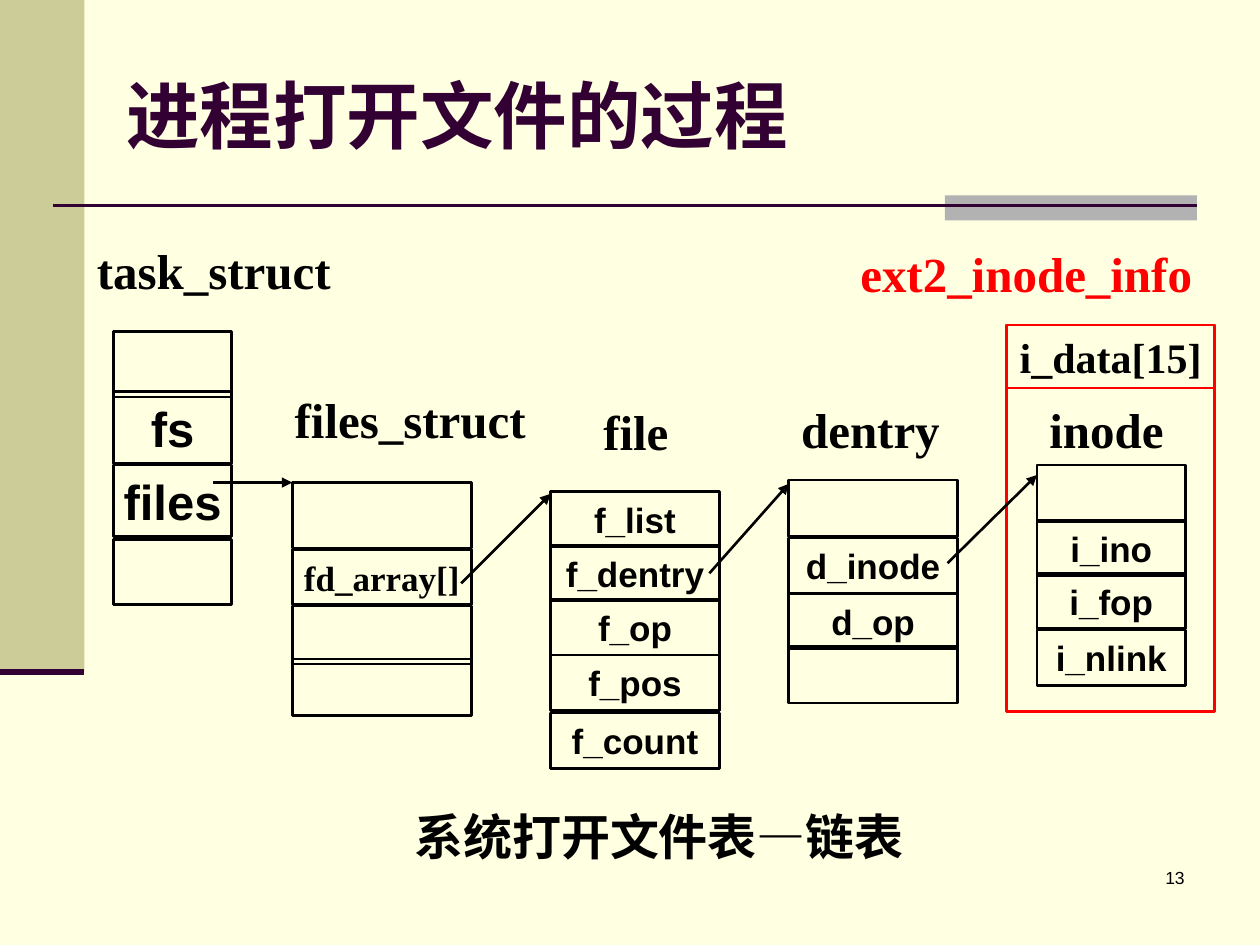
"""Build the slide that shows how a process opens a file."""
from lxml.etree import SubElement
from pptx import Presentation
from pptx.dml.color import RGBColor
from pptx.enum.shapes import MSO_CONNECTOR, MSO_SHAPE
from pptx.enum.text import MSO_ANCHOR, PP_ALIGN
from pptx.oxml.ns import qn
from pptx.util import Inches, Pt

CREAM = RGBColor(0xFF, 0xFF, 0xE1)
KHAKI = RGBColor(0xCC, 0xCC, 0x99)
GRAY = RGBColor(0xB2, 0xB2, 0xB2)
PLUM = RGBColor(0x33, 0x00, 0x33)
BLACK = RGBColor(0x00, 0x00, 0x00)
RED = RGBColor(0xFF, 0x00, 0x00)
SERIF, SANS = "Times New Roman", "Arial"

TITLE = "进程打开文件的过程"
BANDS = [((0, 0, 0.67, 5.33), KHAKI), ((7.5, 1.55, 2, 0.2), GRAY)]
RULES = [((0.42, 1.63), (9.5, 1.63), 1.5), ((0, 5.33), (0.67, 5.33), 3.5)]
LABELS = [
    ("task_struct", 0.67, 1.86, 2.12, BLACK),
    ("files_struct", 2.24, 3.04, 2.12, BLACK),
    ("file", 4.69, 3.14, 0.94, BLACK),
    ("dentry", 6.26, 3.12, 1.34, BLACK),
    ("inode", 8.23, 3.12, 1.18, BLACK),
    ("ext2_inode_info", 6.73, 1.88, 2.91, RED),
    ("系统打开文件表—链表", 3.19, 6.35, 4.33, BLACK),
]
FRAME = (7.99, 2.58, 1.65, 3.07)
STACKS = [
    (0.9, 0.94, SANS, 28, BLACK,
     [("", 2.63, 0.52), ("fs", 3.11, 0.57), ("files", 3.69, 0.57), ("", 4.28, 0.52)]),
    (2.32, 1.42, SERIF, 20, BLACK,
     [("", 3.83, 0.52), ("fd_array[]", 4.36, 0.44), ("", 4.81, 0.46), ("", 5.23, 0.45)]),
    (4.37, 1.34, SANS, 20, BLACK,
     [("f_list", 3.9, 0.44), ("f_dentry", 4.33, 0.44), ("f_op", 4.76, 0.44),
      ("f_pos", 5.2, 0.44), ("f_count", 5.66, 0.44)]),
    (6.26, 1.34, SANS, 20, BLACK,
     [("", 3.81, 0.45), ("d_inode", 4.27, 0.44), ("d_op", 4.71, 0.44), ("", 5.13, 0.45)]),
    (8.23, 1.18, SANS, 20, BLACK,
     [("", 3.69, 0.45), ("i_ino", 4.13, 0.44), ("i_fop", 4.55, 0.44), ("i_nlink", 5, 0.44)]),
    (7.99, 1.65, SERIF, 24, RED, [("i_data[15]", 2.58, 0.5)]),
]
ARROWS = [
    ((1.69, 3.83), (2.32, 3.83)),
    ((3.66, 4.63), (4.37, 3.92)),
    ((5.63, 4.55), (6.26, 3.84)),
    ((7.52, 4.47), (8.23, 3.77)),
]


def inch(nums):
    return [Inches(n) for n in nums]


def write(frame, text, size, face, color, align=PP_ALIGN.LEFT, bold=True):
    frame.word_wrap = True
    para = frame.paragraphs[0]
    para.alignment = align
    run = para.add_run()
    run.text = text
    font = run.font
    font.size, font.name, font.bold = Pt(size), face, bold
    font.color.rgb = color


def add_box(slide, area, fill=None, edge=None):
    box = slide.shapes.add_shape(MSO_SHAPE.RECTANGLE, *inch(area))
    box.shadow.inherit = False
    if fill is None:
        box.fill.background()
    else:
        box.fill.solid()
        box.fill.fore_color.rgb = fill
    if edge is None:
        box.line.fill.background()
    else:
        box.line.color.rgb = edge
        box.line.width = Pt(1.5)
    return box


def add_line(slide, start, end, color, width=1.5, head=False):
    line = slide.shapes.add_connector(MSO_CONNECTOR.STRAIGHT, *inch(start + end))
    line.line.color.rgb = color
    line.line.width = Pt(width)
    props = line._element.spPr
    if head:
        SubElement(props.find(qn("a:ln")), qn("a:tailEnd"), type="triangle")
    SubElement(props, qn("a:effectLst"))


def add_text(slide, area, *style, **more):
    box = slide.shapes.add_textbox(*inch(area))
    write(box.text_frame, *style, **more)


def add_stack(slide, left, width, face, size, edge, rows):
    for text, top, height in rows:
        box = add_box(slide, (left, top, width, height), edge=edge)
        if text:
            frame = box.text_frame
            frame.margin_left = frame.margin_right = 0
            frame.vertical_anchor = MSO_ANCHOR.MIDDLE
            write(frame, text, size, face, BLACK, PP_ALIGN.CENTER)


def main():
    deck = Presentation()
    deck.slide_width, deck.slide_height = Inches(10), Inches(7.5)
    slide = deck.slides.add_slide(deck.slide_layouts[5])
    slide.background.fill.solid()
    slide.background.fill.fore_color.rgb = CREAM

    for area, fill in BANDS:
        add_box(slide, area, fill=fill)
    for start, end, width in RULES:
        add_line(slide, start, end, PLUM, width)

    title = slide.shapes.title
    title.left, title.top, title.width, title.height = inch((0.9, 0.28, 8.5, 1.25))
    title.text_frame.vertical_anchor = MSO_ANCHOR.MIDDLE
    write(title.text_frame, TITLE, 42, SERIF, PLUM)

    add_box(slide, FRAME, edge=RED)
    for text, left, top, width, color in LABELS:
        add_text(slide, (left, top, width, 0.57), text, 28, SERIF, color)
    for stack in STACKS:
        add_stack(slide, *stack)
    for start, end in ARROWS:
        add_line(slide, start, end, BLACK, head=True)
    add_text(slide, (7.42, 6.83, 2.08, 0.5), "13", 10, SANS, BLACK,
             align=PP_ALIGN.RIGHT, bold=False)
    deck.save("out.pptx")


if __name__ == "__main__":
    main()
